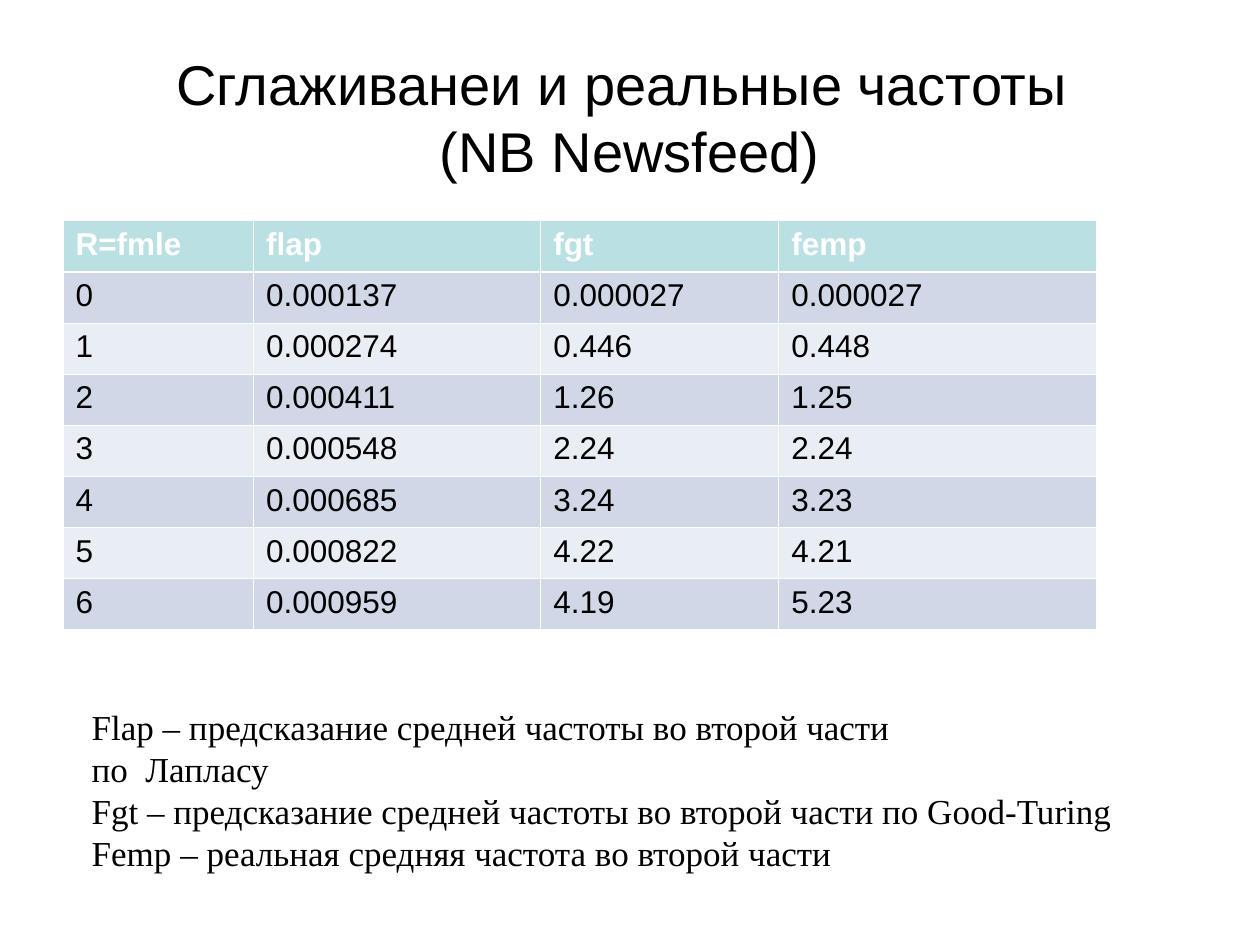
"""Build the slide that compares smoothed and real frequencies."""
import pptx
import pptx.dml.color
import pptx.enum.text
import pptx.oxml
import pptx.oxml.ns
import pptx.util

Cm = pptx.util.Cm
Pt = pptx.util.Pt
RGBColor = pptx.dml.color.RGBColor
PP_ALIGN = pptx.enum.text.PP_ALIGN
MSO_ANCHOR = pptx.enum.text.MSO_ANCHOR

BLACK = RGBColor(0x00, 0x00, 0x00)
WHITE = RGBColor(0xFF, 0xFF, 0xFF)
HEADER_TEAL = RGBColor(0xBB, 0xE0, 0xE3)
BAND_DARK = RGBColor(0xD0, 0xD8, 0xE8)
BAND_LIGHT = RGBColor(0xE9, 0xED, 0xF4)


def write_text(frame, text, size, font="Arial", color=BLACK, bold=False,
               align=PP_ALIGN.LEFT, anchor=MSO_ANCHOR.TOP):
    frame.word_wrap = True
    frame.vertical_anchor = anchor
    frame.text = text
    for paragraph in frame.paragraphs:
        paragraph.alignment = align
        for run in paragraph.runs:
            run.font.name = font
            run.font.size = Pt(size)
            run.font.bold = bold
            run.font.color.rgb = color


def add_border(cell, side, width):
    cell._tc.get_or_add_tcPr().append(pptx.oxml.parse_xml(
        f'<a:{side} {pptx.oxml.ns.nsdecls("a")} w="{Pt(width)}"><a:solidFill>'
        f'<a:srgbClr val="{WHITE}"/></a:solidFill></a:{side}>'))


presentation = pptx.Presentation()
presentation.slide_width = Cm(25.4)
presentation.slide_height = Cm(19.05)
slide = presentation.slides.add_slide(presentation.slide_layouts[6])

title = slide.shapes.add_textbox(Cm(1.27), Cm(0.76), Cm(22.86), Cm(3.18))
write_text(title.text_frame, "Сглаживанеи и реальные частоты \v(NB Newsfeed)", 32,
           align=PP_ALIGN.CENTER, anchor=MSO_ANCHOR.MIDDLE)

frequencies = [
    ["R=fmle", "flap", "fgt", "femp"],
    ["0", "0.000137", "0.000027", "0.000027"],
    ["1", "0.000274", "0.446", "0.448"],
    ["2", "0.000411", "1.26", "1.25"],
    ["3", "0.000548", "2.24", "2.24"],
    ["4", "0.000685", "3.24", "3.23"],
    ["5", "0.000822", "4.22", "4.21"],
    ["6", "0.000959", "4.19", "5.23"],
]
column_widths = [3.84, 5.79, 4.8, 6.4]
row_height = 1.03

comparison = slide.shapes.add_table(
    len(frequencies), len(column_widths), Cm(1.27), Cm(4.45),
    Cm(sum(column_widths)), Cm(row_height * len(frequencies))).table
for column, width in zip(comparison.columns, column_widths):
    column.width = Cm(width)

for row_index, values in enumerate(frequencies):
    comparison.rows[row_index].height = Cm(row_height)
    is_header = row_index == 0
    band = HEADER_TEAL if is_header else BAND_DARK if row_index % 2 else BAND_LIGHT
    for column_index, value in enumerate(values):
        cell = comparison.cell(row_index, column_index)
        write_text(cell.text_frame, value, 18, bold=is_header,
                   color=WHITE if is_header else BLACK)
        add_border(cell, "lnL", 0.45)
        add_border(cell, "lnR", 0.45)
        add_border(cell, "lnT", 1.47 if row_index == 1 else 0.45)
        add_border(cell, "lnB", 1.47 if is_header else 0.45)
        cell.fill.solid()
        cell.fill.fore_color.rgb = band

legend_lines = [
    "Flap – предсказание средней частоты во второй части ",
    "по  Лапласу",
    "Fgt – предсказание средней частоты во второй части по Good-Turing",
    "Femp – реальная средняя частота во второй части",
]
legend = slide.shapes.add_textbox(Cm(1.6), Cm(14.1), Cm(22.68), Cm(3.66))
write_text(legend.text_frame, "\n".join(legend_lines), 20, font="Times New Roman")

presentation.save("out.pptx")
